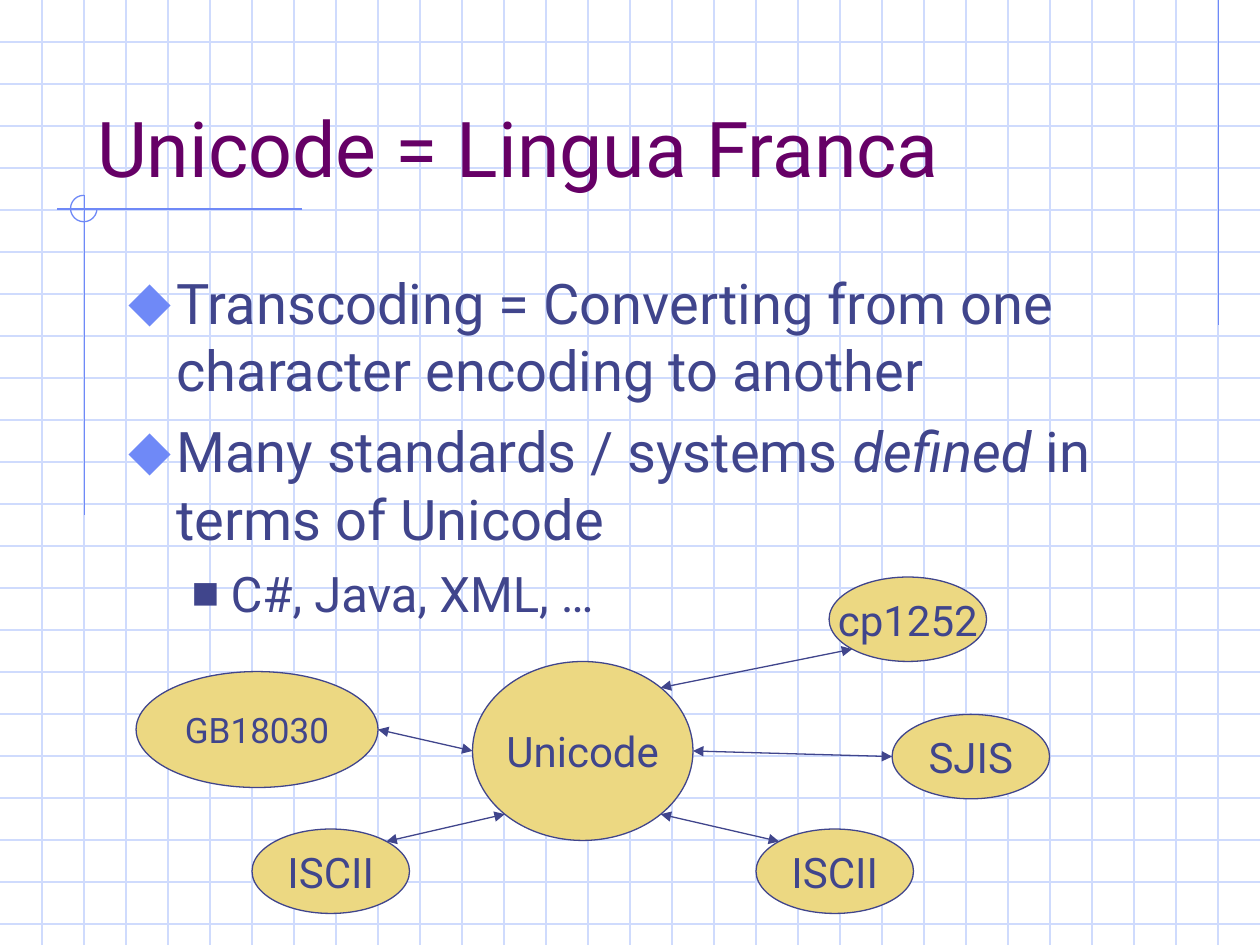
"""Build the slide on Unicode as the common language of character encodings."""
from dataclasses import dataclass
from math import cos, radians, sin

from lxml import etree
from pptx import Presentation
from pptx import util as u
from pptx.dml import color
from pptx.enum import shapes, text
from pptx.oxml import ns

FONT = "Roboto"
GRID, ACCENT, INK, SAND, PLUM = "CFDBFD", "6F89F7", "40458C", "ECD882", "660066"
WIDTH, HEIGHT, CELLS_PER_INCH = 10, 7.5, 3


@dataclass
class Node:
    label: str
    x: float
    y: float
    w: float = 1.25
    h: float = 0.67
    size: int = 24

    def site(self, angle: float) -> tuple[float, float]:
        """Return the outline point at an angle, clockwise from the right."""
        a = radians(angle)
        return (self.x + self.w / 2 * (1 + cos(a)),
                self.y + self.h / 2 * (1 + sin(a)))


@dataclass
class Bullet:
    phrases: list[tuple[str, bool]]
    level: int = 0
    size: int = 32
    before: int = 8
    left: float = 0.38
    hang: float = 0.38
    char: str = "⬥"
    hue: str = ACCENT
    percent: int = 110


HUB = Node("Unicode", 3.75, 5.25, 1.75, 1.42)
CP1252 = Node("cp1252", 6.58, 4.58)
SJIS = Node("SJIS", 7.08, 5.67)
GB18030 = Node("GB18030", 1.08, 5.33, 1.92, 0.92, 20)
ISCII_LEFT = Node("ISCII", 2, 6.58)
ISCII_RIGHT = Node("ISCII", 6, 6.58)
NODES = [HUB, CP1252, SJIS, GB18030, ISCII_LEFT, ISCII_RIGHT]
LINKS = [(180, GB18030, 0), (135, ISCII_LEFT, 315), (45, ISCII_RIGHT, 225),
         (315, CP1252, 135), (0, SJIS, 180)]
BULLETS = [
    Bullet([("Transcoding = Converting from one character encoding to another", False)],
           before=0),
    Bullet([("Many standards / systems ", False), ("defined", True),
            (" in terms of Unicode", False)]),
    Bullet([("C#, Java, XML, …", False)], 1, 28, 7, 0.81, 0.31, "■", INK, 60),
]


def rgb(value: str) -> color.RGBColor:
    """Turn a hex string into a colour."""
    return color.RGBColor.from_string(value)


def style_run(r, size: int, hue: str) -> None:
    """Set the font, size and colour of a run."""
    r.font.name, r.font.size = FONT, u.Pt(size)
    r.font.color.rgb = rgb(hue)


def style_line(sp, hue: str) -> None:
    """Give a shape or connector a thin outline."""
    sp.line.color.rgb = rgb(hue)
    sp.line.width = u.Pt(0.75)


def add_line(s, start: tuple, end: tuple, hue: str, arrows: bool = False) -> None:
    """Draw a straight line, with arrowheads at both ends if asked."""
    c = s.shapes.add_connector(shapes.MSO_CONNECTOR.STRAIGHT,
                               *map(u.Inches, (*start, *end)))
    style_line(c, hue)
    if arrows:
        ln = c._element.spPr.find(ns.qn("a:ln"))
        for tag in ("a:headEnd", "a:tailEnd"):
            etree.SubElement(ln, ns.qn(tag), type="triangle")
    etree.SubElement(c._element.spPr, ns.qn("a:effectLst"))


def add_backdrop(s) -> None:
    """Draw the grid paper and the accent lines."""
    for i in range(1, int(HEIGHT * CELLS_PER_INCH) + 1):
        add_line(s, (0, i / CELLS_PER_INCH), (WIDTH, i / CELLS_PER_INCH), GRID)
    for i in range(1, WIDTH * CELLS_PER_INCH):
        add_line(s, (i / CELLS_PER_INCH, 0), (i / CELLS_PER_INCH, HEIGHT), GRID)
    add_line(s, (9.67, 0), (9.67, 2.58), ACCENT)
    add_line(s, (2.4, 1.66), (0.45, 1.66), ACCENT)
    add_line(s, (0.67, 1.55), (0.67, 4.09), ACCENT)
    arc = s.shapes.add_shape(shapes.MSO_SHAPE.ARC,
                             *map(u.Inches, (0.56, 1.55, 0.21, 0.21)))
    arc.adjustments[0], arc.adjustments[1] = 0, 270 * 0.6
    arc.fill.background()
    arc.shadow.inherit = False
    style_line(arc, ACCENT)


def place(s, sp, box: tuple, anchor) -> None:
    """Move a placeholder to its box, in front of the backdrop."""
    s.shapes._spTree.append(sp._element)
    sp.left, sp.top, sp.width, sp.height = map(u.Inches, box)
    tf = sp.text_frame
    tf.word_wrap, tf.auto_size = True, text.MSO_AUTO_SIZE.NONE
    tf.vertical_anchor = anchor


def add_bullet(p, item: Bullet) -> None:
    """Fill a paragraph with a bulleted item."""
    p.level, p.space_before = item.level, u.Pt(item.before)
    pPr = p._p.get_or_add_pPr()
    pPr.set("marL", str(u.Inches(item.left)))
    pPr.set("indent", str(-u.Inches(item.hang)))
    clr = etree.SubElement(pPr, ns.qn("a:buClr"))
    etree.SubElement(clr, ns.qn("a:srgbClr"), val=item.hue)
    etree.SubElement(pPr, ns.qn("a:buSzPct"), val=str(item.percent * 1000))
    etree.SubElement(pPr, ns.qn("a:buFont"), typeface=FONT)
    etree.SubElement(pPr, ns.qn("a:buChar"), char=item.char)
    for wording, italic in item.phrases:
        r = p.add_run()
        r.text = wording
        style_run(r, item.size, INK)
        r.font.italic = italic


def add_node(s, node: Node) -> None:
    """Draw a labelled ellipse."""
    sp = s.shapes.add_shape(shapes.MSO_SHAPE.OVAL,
                            *map(u.Inches, (node.x, node.y, node.w, node.h)))
    sp.shadow.inherit = False
    sp.fill.solid()
    sp.fill.fore_color.rgb = rgb(SAND)
    style_line(sp, INK)
    tf = sp.text_frame
    tf.text, tf.word_wrap = node.label, False
    tf.vertical_anchor = text.MSO_ANCHOR.MIDDLE
    p = tf.paragraphs[0]
    p.alignment = text.PP_ALIGN.CENTER
    style_run(p.runs[0], node.size, INK)


def main() -> None:
    """Build and save the slide."""
    prs = Presentation()
    prs.slide_width, prs.slide_height = u.Inches(WIDTH), u.Inches(HEIGHT)
    s = prs.slides.add_slide(prs.slide_layouts[1])
    add_backdrop(s)

    title, body = s.shapes.title, s.placeholders[1]
    place(s, title, (0.67, 0.33, 8.5, 1.25), text.MSO_ANCHOR.BOTTOM)
    title.text_frame.text = "Unicode = Lingua Franca"
    p = title.text_frame.paragraphs[0]
    p.alignment = text.PP_ALIGN.LEFT
    style_run(p.runs[0], 44, PLUM)

    place(s, body, (0.92, 2.08, 8.5, 4.5), text.MSO_ANCHOR.TOP)
    tf = body.text_frame
    for i, item in enumerate(BULLETS):
        add_bullet(tf.add_paragraph() if i else tf.paragraphs[0], item)

    for node in NODES:
        add_node(s, node)
    for hub_angle, node, node_angle in LINKS:
        add_line(s, HUB.site(hub_angle), node.site(node_angle), INK, arrows=True)
    prs.save("out.pptx")


if __name__ == "__main__":
    main()
